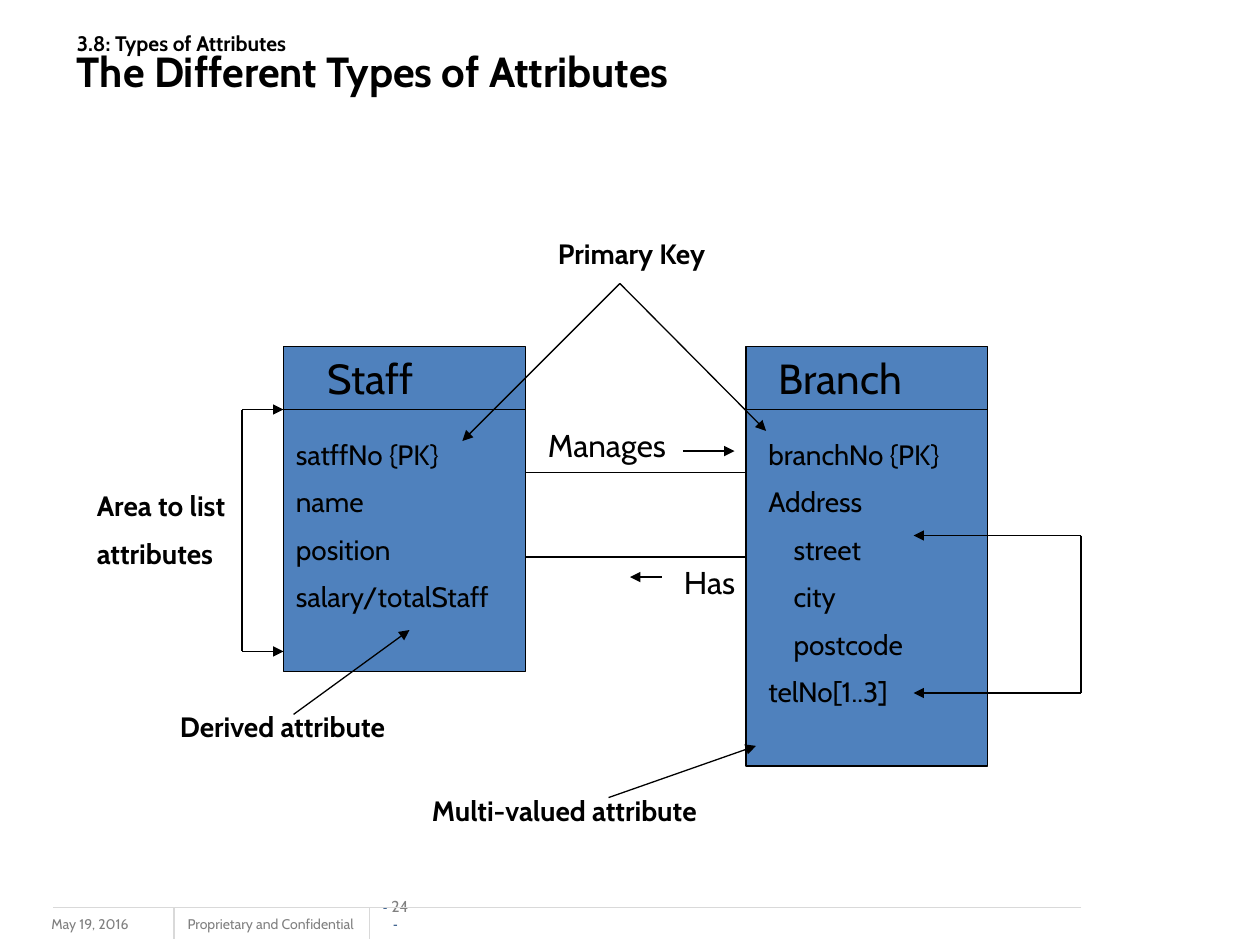
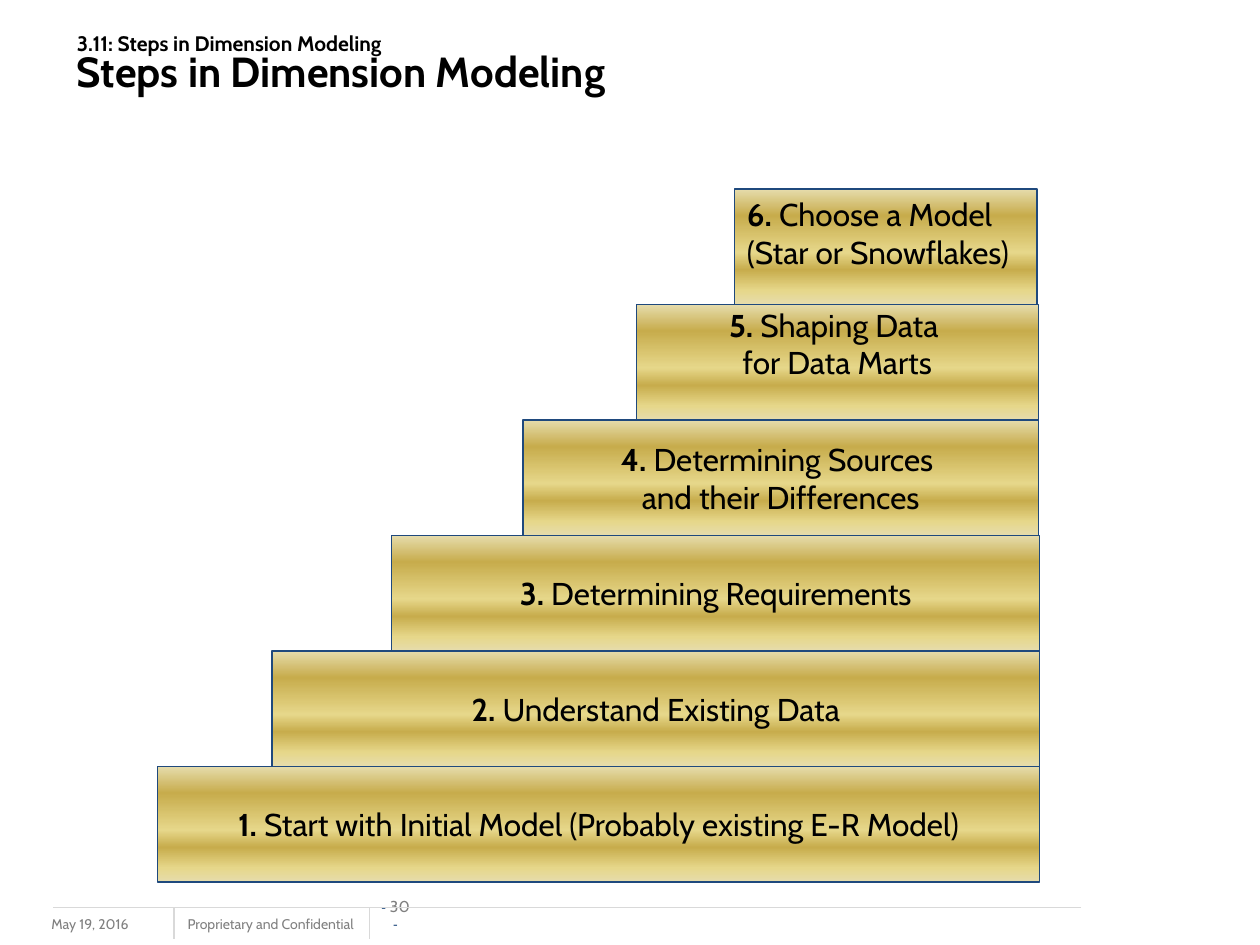
from dataclasses import dataclass
from typing import Any

from lxml.etree import SubElement
from pptx import Presentation
from pptx.dml.color import RGBColor
from pptx.enum.shapes import MSO_CONNECTOR, MSO_SHAPE
from pptx.enum.text import MSO_ANCHOR as Anchor, MSO_AUTO_SIZE as AutoSize, PP_ALIGN as Align
from pptx.oxml.ns import qn
from pptx.util import Inches, Pt

COLOURS = {
    "text": "000000",
    "entity": "4F81BD",
    "navy": "1F497D",
    "footer": "808080",
    "rule": "D9D9D9",
    "gold_edge": "E6DCAC",
    "gold_dark": "C7AC4C",
    "gold_light": "E6D78A",
}
GOLD_STOPS = [(0, "gold_edge"), (23, "gold_dark"), (55, "gold_light"),
              (70, "gold_dark"), (88, "gold_light"), (100, "gold_edge")]
FORMATS: dict[str, dict[str, Any]] = {
    "section": {"name": "Cabin", "size": Pt(12), "bold": True},
    "title": {"name": "Cabin", "size": Pt(24), "bold": True},
    "entity": {"name": "Cabin", "size": Pt(24)},
    "attribute": {"name": "Cabin", "size": Pt(16)},
    "callout": {"name": "Cabin", "size": Pt(16), "bold": True},
    "relation": {"name": "Cabin", "size": Pt(18)},
    "step": {"name": "Cabin", "size": Pt(18), "bold": False},
    "step_number": {"name": "Cabin", "size": Pt(18), "bold": True},
    "footer": {"name": "Cabin", "size": Pt(8)},
    "page_number": {"name": "Cabin", "size": Pt(9)},
    "page_dash": {"name": "Arial", "size": Pt(8)},
}
TITLE_ONLY_LAYOUT = 5
STAIRS_BOTTOM = 7.0
STEP_HEIGHT = 5.5 / 6


@dataclass(frozen=True)
class Box:
    left: float
    top: float
    width: float
    height: float

    def lengths(self) -> list[int]:
        return [Inches(value) for value in (self.left, self.top, self.width, self.height)]


@dataclass(frozen=True)
class Label:
    lines: list[str]
    box: Box
    style: str
    nested: tuple[int, ...] = ()


@dataclass(frozen=True)
class Entity:
    box: Box
    name: Label
    attributes: Label


@dataclass(frozen=True)
class Line:
    start: tuple[float, float]
    end: tuple[float, float]
    arrow: bool = False
    colour: str = "text"


@dataclass(frozen=True)
class Step:
    lines: list[str]
    left: float
    width: float
    align: Align = Align.CENTER
    anchor: Anchor = Anchor.MIDDLE
    margin_top: float = 0.05


FOOTER_LINES = [Line((8.58, 7.2), (0.42, 7.2), colour="rule")] + [
    Line((x, 7.2), (x, 7.45), colour="rule") for x in (1.38, 2.93)]
FOOTER_LABELS = [
    Label(["May 19, 2016"], Box(0.31, 7.22, 1.33, 0.25), "footer"),
    Label(["Proprietary and Confidential"], Box(1.39, 7.22, 1.57, 0.24), "footer"),
]

ENTITIES = [
    Entity(Box(2.25, 2.75, 1.92, 2.58),
           Label(["Staff"], Box(2.5, 2.75, 1.75, 0.5), "entity"),
           Label(["satffNo {PK}", "name", "position", "salary/totalStaff"],
                 Box(2.25, 3.42, 1.75, 1.57), "attribute")),
    Entity(Box(5.92, 2.75, 1.92, 3.33),
           Label(["Branch"], Box(6.08, 2.75, 1.75, 0.5), "entity"),
           Label(["branchNo {PK}", "Address", "street", "city", "postcode", "telNo[1..3]"],
                 Box(6, 3.42, 1.67, 2.39), "attribute", nested=(2, 3, 4))),
]
DIAGRAM_LABELS = [
    Label(["Manages"], Box(4.25, 3.33, 1.25, 0.4), "relation"),
    Label(["Has"], Box(5.33, 4.42, 0.75, 0.4), "relation"),
    Label(["Area to list", "attributes"], Box(0.67, 3.83, 1.42, 0.77), "callout"),
    Label(["Primary Key"], Box(4.33, 1.83, 1.58, 0.37), "callout"),
    Label(["Multi-valued attribute"], Box(3.33, 6.25, 2.67, 0.37), "callout"),
    Label(["Derived attribute"], Box(1.33, 5.58, 2, 0.37), "callout"),
]
RELATION_LINES = [
    Line((4.17, 3.75), (5.92, 3.75)),
    Line((4.17, 4.42), (5.92, 4.42)),
    Line((5.42, 3.58), (5.83, 3.58), arrow=True),
    Line((5.25, 4.58), (5, 4.58), arrow=True),
]
CALLOUT_LINES = [
    Line((4.92, 2.25), (3.67, 3.5), arrow=True),
    Line((4.92, 2.25), (6.08, 3.42), arrow=True),
    Line((4.83, 6.33), (6, 5.92), arrow=True),
    Line((2.33, 5.67), (3.25, 5), arrow=True),
]

STEPS = [
    Step(["Start with Initial Model (Probably existing E-R Model)"], 1.25, 7),
    Step(["Understand Existing Data"], 2.16, 6.09),
    Step(["Determining Requirements"], 3.11, 5.14),
    Step(["Determining Sources ", "and their Differences"], 4.15, 4.09),
    Step(["Shaping Data ", "for Data Marts"], 5.05, 3.19, anchor=Anchor.TOP, margin_top=0.01),
    Step(["Choose a Model", "(Star or Snowflakes)"], 5.83, 2.4, Align.LEFT, Anchor.TOP),
]


def rgb(colour: str) -> RGBColor:
    return RGBColor.from_string(COLOURS[colour])


def apply(target: Any, **values: Any) -> None:
    for name, value in values.items():
        setattr(target, name, value)


def add_run(paragraph: Any, text: str, style: str, colour: str = "text") -> None:
    run = paragraph.add_run()
    run.text = text
    apply(run.font, **FORMATS[style])
    run.font.color.rgb = rgb(colour)


def get_paragraph(frame: Any, index: int) -> Any:
    return frame.add_paragraph() if index else frame.paragraphs[0]


def add_label(slide: Any, label: Label, colour: str = "text") -> None:
    frame = slide.shapes.add_textbox(*label.box.lengths()).text_frame
    frame.word_wrap = True
    for index, text in enumerate(label.lines):
        paragraph = get_paragraph(frame, index)
        if index:
            paragraph.space_before = FORMATS[label.style]["size"] // 2
        if index in label.nested:
            paragraph._p.get_or_add_pPr().set("marL", str(Inches(0.2)))
        add_run(paragraph, text, label.style, colour)


def add_line(slide: Any, line: Line) -> None:
    points = [Inches(value) for value in (*line.start, *line.end)]
    connector = slide.shapes.add_connector(MSO_CONNECTOR.STRAIGHT, *points)
    apply(connector.line, width=Pt(0.75))
    connector.line.color.rgb = rgb(line.colour)
    if line.arrow:
        SubElement(connector.line._get_or_add_ln(), qn("a:tailEnd"), type="triangle")
    SubElement(connector._element.spPr, qn("a:effectLst"))


def add_bracket(slide: Any, x: float, tip_x: float, top: float, bottom: float) -> None:
    """Draw a vertical line with an arrow leaving each end."""
    add_line(slide, Line((x, top), (x, bottom)))
    for y in (top, bottom):
        add_line(slide, Line((x, y), (tip_x, y), arrow=True))


def add_rectangle(slide: Any, box: Box, outline: str) -> Any:
    shape = slide.shapes.add_shape(MSO_SHAPE.RECTANGLE, *box.lengths())
    shape.shadow.inherit = False
    shape.line.width = Pt(0.75)
    shape.line.color.rgb = rgb(outline)
    return shape


def fill_gold(shape: Any) -> None:
    shape.fill.gradient()
    shape.fill.gradient_angle = 270
    stops = shape._element.spPr.find(".//" + qn("a:gsLst"))
    stops.clear()
    for percent, colour in GOLD_STOPS:
        stop = SubElement(stops, qn("a:gs"), pos=str(percent * 1000))
        SubElement(stop, qn("a:srgbClr"), val=COLOURS[colour])


def add_entity(slide: Any, entity: Entity) -> None:
    box = entity.box
    shape = add_rectangle(slide, box, "text")
    shape.fill.solid()
    shape.fill.fore_color.rgb = rgb("entity")
    add_line(slide, Line((box.left, 3.25), (box.left + box.width, 3.25)))
    add_label(slide, entity.name)
    add_label(slide, entity.attributes)


def add_step(slide: Any, number: int, step: Step) -> None:
    top = STAIRS_BOTTOM - number * STEP_HEIGHT
    shape = add_rectangle(slide, Box(step.left, top, step.width, STEP_HEIGHT), "navy")
    fill_gold(shape)
    frame = shape.text_frame
    apply(frame, word_wrap=False, vertical_anchor=step.anchor,
          margin_top=Inches(step.margin_top))
    for index, text in enumerate(step.lines):
        paragraph = get_paragraph(frame, index)
        paragraph.alignment = step.align
        if index == 0:
            add_run(paragraph, f"{number}. ", "step_number")
        add_run(paragraph, text, "step")


def add_page_number(slide: Any, number: int) -> None:
    frame = slide.shapes.add_textbox(*Box(3.01, 7.25, 0.26, 0.15).lengths()).text_frame
    apply(frame, word_wrap=True, vertical_anchor=Anchor.BOTTOM,
          margin_left=0, margin_top=0, margin_right=0, margin_bottom=0)
    paragraph = frame.paragraphs[0]
    paragraph.alignment = Align.CENTER
    add_run(paragraph, "- ", "page_dash", "navy")
    add_run(paragraph, f"{number} ", "page_number", "footer")
    add_run(paragraph, "-", "page_dash", "navy")


def add_slide(presentation: Any, section: str, title: str, number: int) -> Any:
    """Add a slide with the shared two-line title and footer."""
    slide = presentation.slides.add_slide(presentation.slide_layouts[TITLE_ONLY_LAYOUT])
    shape = slide.shapes.title
    left, top, width, height = Box(0.51, 0.13, 8.92, 0.78).lengths()
    apply(shape, left=left, top=top, width=width, height=height)
    apply(shape.text_frame, auto_size=AutoSize.NONE, word_wrap=True,
          vertical_anchor=Anchor.MIDDLE)
    paragraph = shape.text_frame.paragraphs[0]
    apply(paragraph, alignment=Align.LEFT, line_spacing=0.8)
    add_run(paragraph, section + " ", "section")
    line_break = SubElement(paragraph._p, qn("a:br"))
    SubElement(line_break, qn("a:rPr"), sz="1200")
    add_run(paragraph, title, "title")

    for label in FOOTER_LABELS:
        add_label(slide, label, "footer")
    add_page_number(slide, number)
    for line in FOOTER_LINES:
        add_line(slide, line)
    return slide


def build_attributes_slide(presentation: Any) -> None:
    slide = add_slide(presentation, "3.8: Types of Attributes",
                      "The Different Types of Attributes", 24)
    for entity in ENTITIES:
        add_entity(slide, entity)
    for label in DIAGRAM_LABELS:
        add_label(slide, label)
    for line in RELATION_LINES + CALLOUT_LINES:
        add_line(slide, line)
    add_bracket(slide, 1.92, 2.25, 3.25, 5.17)
    add_bracket(slide, 8.58, 7.25, 4.25, 5.5)


def build_steps_slide(presentation: Any) -> None:
    slide = add_slide(presentation, "3.11: Steps in Dimension Modeling",
                      "Steps in Dimension Modeling", 30)
    for number, step in enumerate(STEPS, start=1):
        add_step(slide, number, step)


def main() -> None:
    presentation = Presentation()
    apply(presentation, slide_width=Inches(10), slide_height=Inches(7.5))
    build_attributes_slide(presentation)
    build_steps_slide(presentation)
    presentation.save("out.pptx")


if __name__ == "__main__":
    main()
